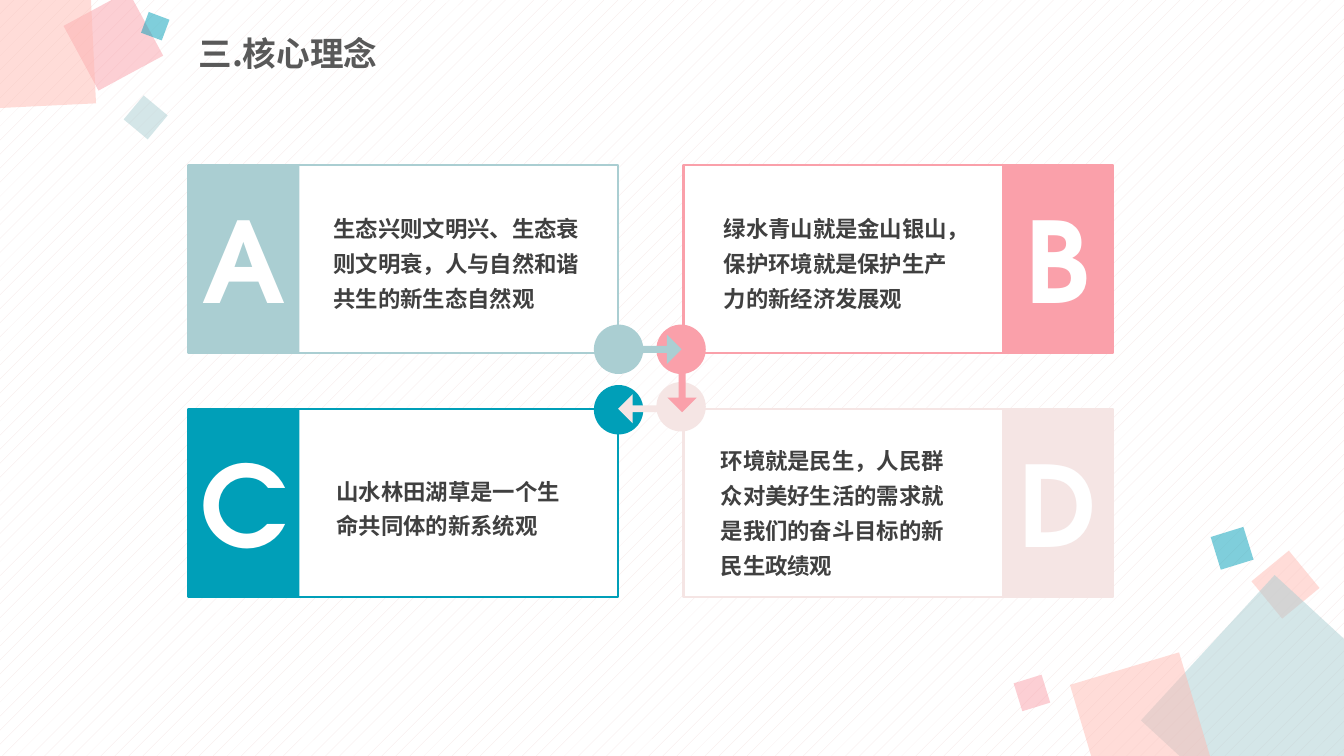
from lxml import etree
from pptx import Presentation
from pptx.dml.color import RGBColor
from pptx.enum import dml, shapes, text
from pptx.oxml import ns
from pptx.util import Inches, Pt

THEME = {
    "sage": "AACED2", "pink": "FAA0AA", "teal": "009FB8", "blush": "F5E5E4",
    "peach": "FFBBB3", "white": "FFFFFF", "body": "404040", "title": "595959",
    "cjk": "Noto Sans CJK SC", "latin": "TeX Gyre Adventor",
    "title_size": 24, "body_size": 16, "letter_size": 80, "border": 1.5,
}

TITLE = "三.核心理念"

# letter, colour, column, row, text box (left, top, width, height), circle top, text
CARDS = [
    ("A", "sage", 0, 0, (3.21, 2.01, 2.65, 1.12), 3.22,
     "生态兴则文明兴、生态衰则文明衰，人与自然和谐共生的新生态自然观"),
    ("B", "pink", 1, 0, (7.08, 2.01, 2.6, 1.12), 3.22,
     "绿水青山就是金山银山，保护环境就是保护生产力的新经济发展观"),
    ("C", "teal", 0, 1, (3.24, 4.61, 2.6, 0.77), 3.82,
     "山水林田湖草是一个生命共同体的新系统观"),
    ("D", "blush", 1, 1, (7.05, 4.31, 2.6, 1.47), 3.79,
     "环境就是民生，人民群众对美好生活的需求就是我们的奋斗目标的新民生政绩观"),
]

# left, top, rotation, colour
ARROWS = [
    (6.29, 3.32, 0, "sage"),
    (6.53, 3.71, 90, "pink"),
    (6.13, 3.91, 180, "blush"),
]

# left, top, side, rotation, colour
CORNER_SQUARES = [
    (12.51, 5.56, 0.48, 320.6, "peach"),
    (11.72, 6.11, 1.96, 42.6, "sage"),
    (10.75, 6.61, 1.13, 343.4, "peach"),
    (10.09, 6.73, 0.29, 342.8, "pink"),
    (12.05, 5.27, 0.34, 342.8, "teal"),
    (0.76, 0.04, 0.73, 331.6, "pink"),
    (-0.46, -0.32, 1.38, 357.2, "peach"),
    (1.29, 1.01, 0.31, 309.8, "sage"),
    (1.43, 0.15, 0.22, 290.5, "teal"),
]

CARD_LEFTS, CARD_TOPS = (1.87, 6.78), (1.64, 4.06)
CARD_W, CARD_H, BAND_W = 4.26, 1.86, 1.1
CIRCLE_LEFTS, CIRCLE_SIZE = (5.89, 6.51), 0.49
LETTER_H = 1.45
ARROW_W, ARROW_H = 0.47, 0.29

RECT = shapes.MSO_SHAPE.RECTANGLE


def color(name):
    return RGBColor.from_string(THEME[name])


def add_block(slide, kind, box, fill, line=None, rotation=0, alpha=None):
    sp = slide.shapes.add_shape(kind, *map(Inches, box))
    sp.shadow.inherit = False
    sp.rotation = rotation
    sp.fill.solid()
    sp.fill.fore_color.rgb = color(fill)
    if line:
        sp.line.color.rgb = color(line)
        sp.line.width = Pt(THEME["border"])
    else:
        sp.line.fill.background()
    if alpha:
        srgb = sp.fill._xPr.find(".//" + ns.qn("a:srgbClr"))
        etree.SubElement(srgb, ns.qn("a:alpha"), val=str(alpha * 1000))
    return sp


def add_text(slide, box, content, font, size, fill, wrap=True, middle=False):
    tf = slide.shapes.add_textbox(*map(Inches, box)).text_frame
    tf.word_wrap = wrap
    if middle:
        tf.vertical_anchor = text.MSO_ANCHOR.MIDDLE
    p = tf.paragraphs[0]
    p.text = content
    r = p.runs[0]
    r.font.name = THEME[font]
    r.font.size = Pt(THEME[size])
    r.font.bold = True
    r.font.color.rgb = color(fill)
    etree.SubElement(r.font._element, ns.qn("a:ea"), typeface=THEME[font])
    return p


def add_card(slide, letter, hue, col, row, text_box, circle_top, content):
    left, top = CARD_LEFTS[col], CARD_TOPS[row]
    band_left = left + col * (CARD_W - BAND_W)
    add_block(slide, RECT, (left, top, CARD_W, CARD_H), "white", line=hue)
    add_block(slide, RECT, (band_left, top, BAND_W, CARD_H), hue)
    p = add_text(slide, text_box, content, "cjk", "body_size", "body")
    p.line_spacing = 1.3
    add_block(slide, shapes.MSO_SHAPE.OVAL,
              (CIRCLE_LEFTS[col], circle_top, CIRCLE_SIZE, CIRCLE_SIZE), hue)
    letter_top = top + (CARD_H - LETTER_H) / 2
    p = add_text(slide, (band_left, letter_top, BAND_W, LETTER_H), letter,
                 "latin", "letter_size", "white", wrap=False, middle=True)
    p.alignment = text.PP_ALIGN.CENTER


def main():
    prs = Presentation()
    prs.slide_width, prs.slide_height = Inches(13.33), Inches(7.5)
    slide = prs.slides.add_slide(prs.slide_layouts[6])

    # Patterned background
    bg = slide.background.fill
    bg.patterned()
    bg.pattern = dml.MSO_PATTERN.PERCENT_5
    bg.fore_color.rgb = color("blush")
    bg.back_color.rgb = color("white")

    # Translucent corner squares
    for left, top, side, rotation, hue in CORNER_SQUARES:
        add_block(slide, RECT, (left, top, side, side), hue,
                  rotation=rotation, alpha=50)

    # Four lettered cards
    for card in CARDS:
        add_card(slide, *card)

    # Arrows from card to card
    for left, top, rotation, hue in ARROWS:
        arrow = add_block(slide, shapes.MSO_SHAPE.RIGHT_ARROW,
                          (left, top, ARROW_W, ARROW_H), hue, rotation=rotation)
        arrow.adjustments[0] = 0.24

    # Title
    p = add_text(slide, (1.87, 0.26, 6.13, 0.58), TITLE,
                 "cjk", "title_size", "title", middle=True)
    p.line_spacing = 0.9
    p.space_before = Pt(10)

    prs.save("out.pptx")


if __name__ == "__main__":
    main()
